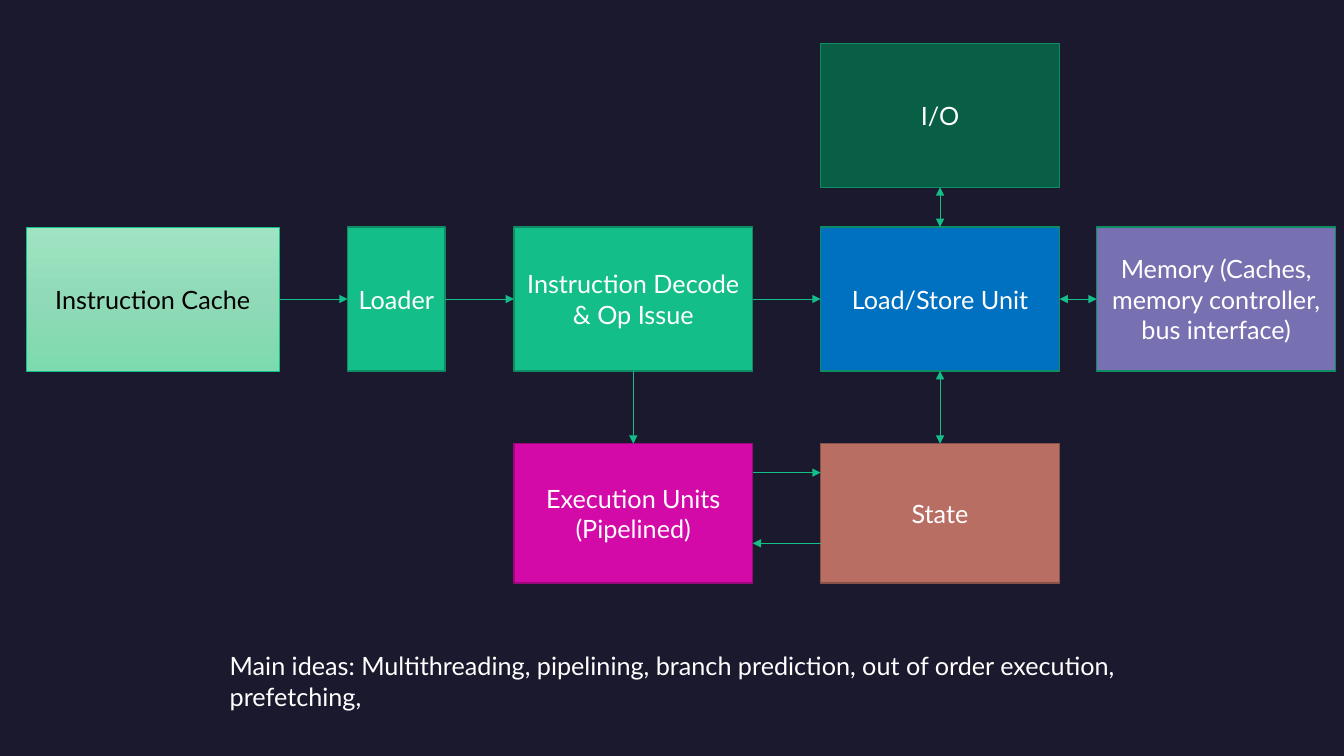
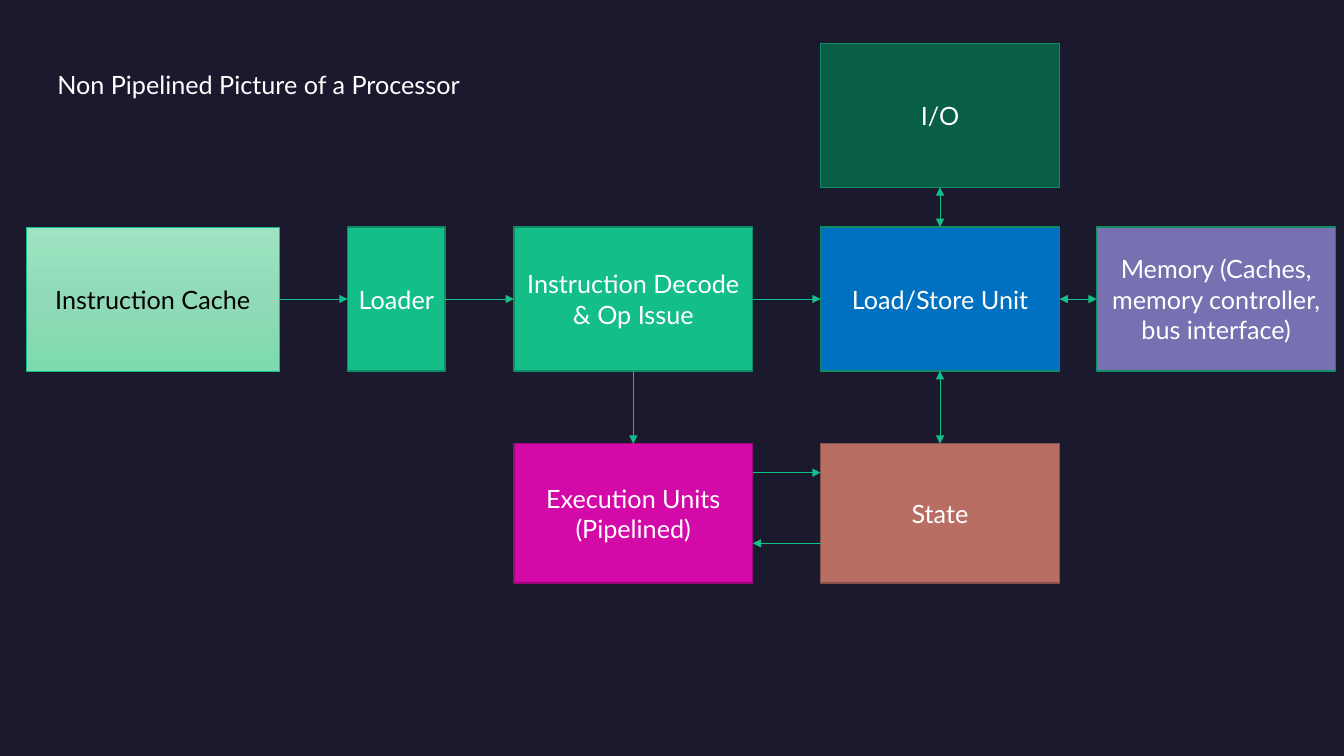
from copy import deepcopy

from pptx import Presentation
from pptx.dml.color import RGBColor as RGB
from pptx.enum.shapes import MSO_CONNECTOR as LINK, MSO_SHAPE as SHAPE
from pptx.enum.text import MSO_ANCHOR as ANCHOR, MSO_AUTO_SIZE as AUTO, PP_ALIGN as ALIGN
from pptx.oxml.ns import qn
from pptx.oxml.xmlchemy import OxmlElement as Node
from pptx.util import Cm, Pt

NIGHT = RGB(0x1B, 0x19, 0x2E)
WHITE = RGB(0xFF, 0xFF, 0xFF)
BLACK = RGB(0x00, 0x00, 0x00)
GREEN = RGB(0x13, 0xBE, 0x89)
EDGE = RGB(0x0E, 0x8D, 0x65)
PINE = RGB(0x09, 0x5F, 0x45)
BLUE = RGB(0x00, 0x70, 0xC0)
LILAC = RGB(0x77, 0x71, 0xB2)
PINK = RGB(0xD4, 0x0A, 0xA8)
PLUM = RGB(0x9D, 0x07, 0x7C)
CLAY = RGB(0xB8, 0x6E, 0x62)
RUST = RGB(0x88, 0x51, 0x49)
MINT = (RGB(0x9E, 0xE4, 0xC2), RGB(0x91, 0xDA, 0xB7), RGB(0x7C, 0xDA, 0xAE))

FONT = {"name": "Lato", "size": Pt(18)}
BOX = {"word_wrap": True, "vertical_anchor": ANCHOR.MIDDLE}
NOTE = {"word_wrap": True, "vertical_anchor": ANCHOR.TOP, "auto_size": AUTO.NONE}

# Columns are (left, width) and rows are (top, height), in cm.
COLS = {"cache": (0.66, 6.38), "load": (8.76, 2.46), "core": (12.95, 6.02),
        "store": (20.68, 6.02), "mem": (27.64, 6.02)}
ROWS = {"top": (1.09, 3.63), "mid": (5.72, 3.63), "low": (11.18, 3.51)}

# Name: column, row, text, fill, edge
UNITS = {
    "cache": ("cache", "mid", "Instruction Cache", MINT, GREEN),
    "loader": ("load", "mid", "Loader", GREEN, EDGE),
    "decode": ("core", "mid", "Instruction Decode & Op Issue", GREEN, EDGE),
    "exec": ("core", "low", "Execution Units\n(Pipelined)", PINK, PLUM),
    "store": ("store", "mid", "Load/Store Unit", BLUE, EDGE),
    "state": ("store", "low", "State", CLAY, RUST),
    "memory": ("mem", "mid", "Memory (Caches, memory controller, bus interface)",
               LILAC, EDGE),
    "io": ("store", "top", "I/O", PINE, EDGE),
}
TOP, LEFT, BASE, RIGHT = range(4)
# From, side, to, side, two-way
LINKS = [
    ("cache", RIGHT, "loader", LEFT, False),
    ("loader", RIGHT, "decode", LEFT, False),
    ("decode", RIGHT, "store", LEFT, False),
    ("decode", BASE, "exec", TOP, False),
    ("store", RIGHT, "memory", LEFT, True),
    ("store", BASE, "state", TOP, True),
    ("io", BASE, "store", TOP, True),
]


def style(item, values):
    """Set each named attribute of an item."""
    for name, value in values.items():
        setattr(item, name, value)


def write(frame, text, look, align, color):
    """Fill a text frame and format all its text."""
    frame.text = text
    style(frame, look)
    for para in frame.paragraphs:
        para.alignment = align
        for run in para.runs:
            style(run.font, FONT)
            run.font.color.rgb = color


def shade(shape, tones):
    """Give a shape an even gradient from top to bottom."""
    shape.fill.gradient()
    stops = shape._element.spPr.find(".//" + qn("a:gsLst"))
    stops.insert(1, deepcopy(stops[0]))
    shape.fill.gradient_angle = 270
    for i, (stop, tone) in enumerate(zip(shape.fill.gradient_stops, tones)):
        stop.position = i / (len(tones) - 1)
        stop.color.rgb = tone


def unit(slide, col, row, text, fill, edge):
    """Add one processor block in its grid cell."""
    (left, width), (top, height) = COLS[col], ROWS[row]
    shape = slide.shapes.add_shape(
        SHAPE.RECTANGLE, Cm(left), Cm(top), Cm(width), Cm(height))
    shape.shadow.inherit = False
    soft = fill is MINT
    if soft:
        shade(shape, fill)
    else:
        shape.fill.solid()
        shape.fill.fore_color.rgb = fill
    shape.line.color.rgb = edge
    shape.line.width = Pt(0.5 if soft else 1)
    write(shape.text_frame, text, BOX, ALIGN.CENTER, BLACK if soft else WHITE)
    return shape


def arrow(slide, start=(0, 0), end=(0, 0), both=False):
    """Add a thin arrow between two points in cm."""
    line = slide.shapes.add_connector(
        LINK.STRAIGHT, *[Cm(v) for v in start + end])
    line.line.color.rgb = GREEN
    line.line.width = Pt(0.5)
    for tag in ("a:headEnd", "a:tailEnd") if both else ("a:tailEnd",):
        tip = Node(tag)
        tip.set("type", "triangle")
        line.line._get_or_add_ln().append(tip)
    line._element.spPr.append(Node("a:effectLst"))
    return line


def chart(slide):
    """Draw the processor blocks and the arrows between them."""
    units = {name: unit(slide, *data) for name, data in UNITS.items()}
    for first, side, last, face, both in LINKS:
        line = arrow(slide, both=both)
        line.begin_connect(units[first], side)
        line.end_connect(units[last], face)
    near, far = sum(COLS["core"]), COLS["store"][0]
    arrow(slide, (near, 11.91), (far, 11.91))
    arrow(slide, (far, 13.69), (near, 13.69))


def main():
    """Build and save both slides."""
    deck = Presentation()
    style(deck, {"slide_width": Cm(33.87), "slide_height": Cm(19.05)})
    back = deck.slide_master.background.fill
    back.solid()
    back.fore_color.rgb = NIGHT

    ideas = deck.slides.add_slide(deck.slide_layouts[6])
    chart(ideas)
    note = ideas.shapes.add_textbox(Cm(5.54), Cm(16.27), Cm(25.58), Cm(1.02))
    write(note.text_frame, "Main ideas: Multithreading, pipelining, branch "
          "prediction, out of order execution, prefetching,",
          NOTE, ALIGN.LEFT, WHITE)

    plain = deck.slides.add_slide(deck.slide_layouts[5])
    chart(plain)
    title = plain.shapes.title
    style(title, {"left": Cm(1.19), "top": Cm(1.63),
                  "width": Cm(16.92), "height": Cm(1.02)})
    write(title.text_frame, "Non Pipelined Picture of a Processor",
          NOTE, ALIGN.LEFT, WHITE)

    deck.save("out.pptx")


main()
